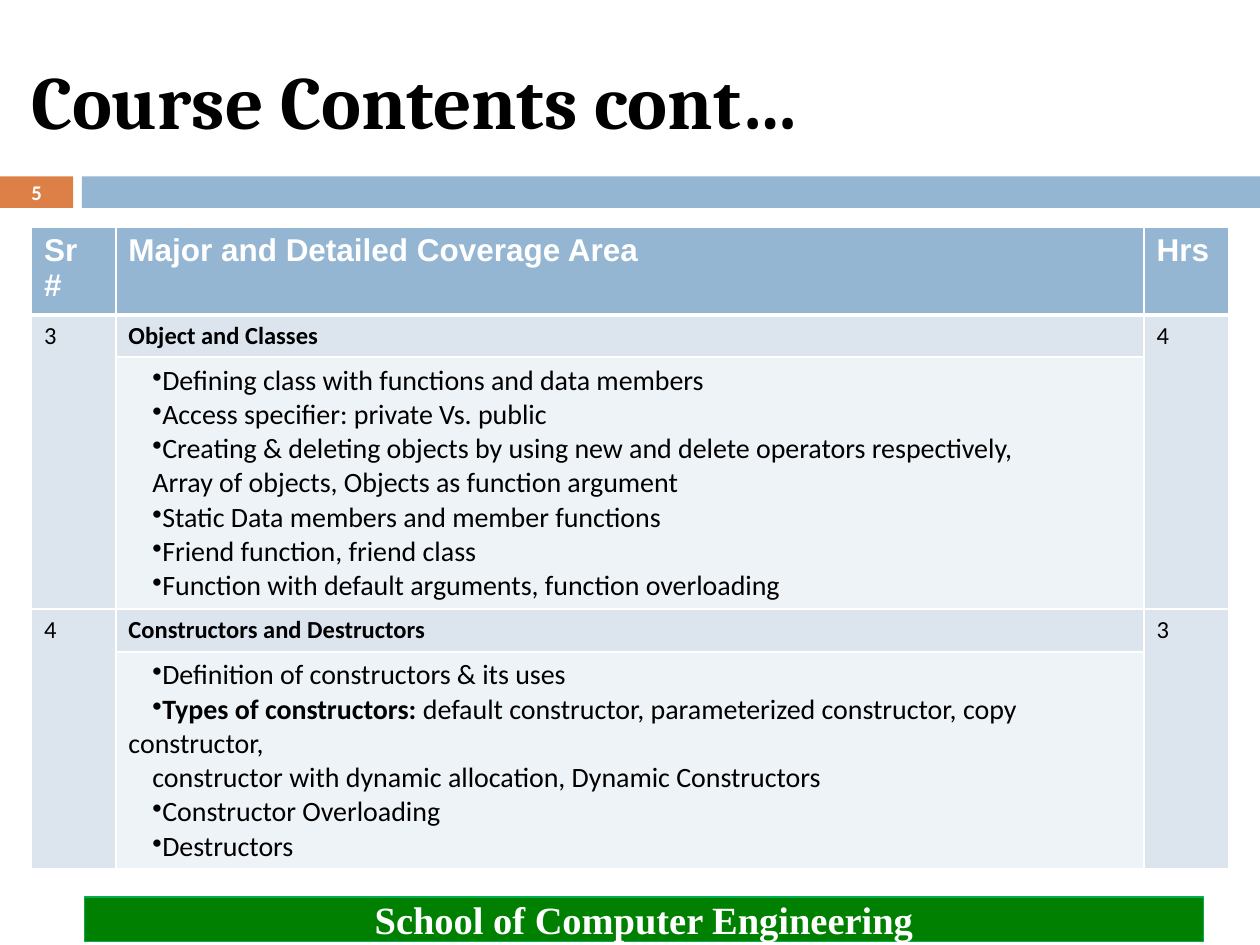
import pptx
import pptx.dml.color
import pptx.enum.shapes
import pptx.enum.text
import pptx.oxml
import pptx.oxml.ns
import pptx.util
from pptx.util import Inches

COLORS = {
    "accent": "DD8047", "band": "94B6D2", "unit": "DCE5EE", "topics": "EEF3F7",
    "footer": "008000", "footer_line": "00B050", "white": "FFFFFF", "black": "000000",
}
ALIGN = pptx.enum.text.PP_ALIGN
INDENT = 0.19

# Each unit: number, heading, hours, topics as (bulleted, [(text, bold), ...])
UNITS = [
    ("3", "Object and Classes", "4", [
        (True, [("Defining class with functions and data members", False)]),
        (True, [("Access specifier: private Vs. public", False)]),
        (True, [("Creating & deleting objects by using new and delete operators respectively,", False)]),
        (False, [("Array of objects, Objects as function argument", False)]),
        (True, [("Static Data members and member functions", False)]),
        (True, [("Friend function, friend class", False)]),
        (True, [("Function with default arguments, function overloading", False)]),
    ]),
    ("4", "Constructors and Destructors", "3", [
        (True, [("Definition of constructors & its uses", False)]),
        (True, [("Types of constructors: ", True),
                ("default constructor, parameterized constructor, copy constructor,", False)]),
        (False, [("constructor with dynamic allocation, Dynamic Constructors", False)]),
        (True, [("Constructor Overloading", False)]),
        (True, [("Destructors", False)]),
    ]),
]


def rgb(name):
    return pptx.dml.color.RGBColor.from_string(COLORS[name])


def add_run(paragraph, text, size, font, color="black", bold=False):
    run = paragraph.add_run()
    run.text = text
    run.font.size = pptx.util.Pt(size)
    run.font.name = font
    run.font.bold = bold
    run.font.color.rgb = rgb(color)


def add_bar(slide, left, top, width, height, fill, line=None):
    bar = slide.shapes.add_shape(
        pptx.enum.shapes.MSO_SHAPE.RECTANGLE,
        Inches(left), Inches(top), Inches(width), Inches(height))
    bar.shadow.inherit = False
    bar.fill.solid()
    bar.fill.fore_color.rgb = rgb(fill)
    if line:
        bar.line.color.rgb = rgb(line)
        bar.line.width = pptx.util.Pt(0.75)
    else:
        bar.line.fill.background()
    return bar


def write_line(shape, text, size, font, color, align):
    frame = shape.text_frame
    frame.word_wrap = True
    frame.vertical_anchor = pptx.enum.text.MSO_ANCHOR.MIDDLE
    frame.paragraphs[0].alignment = align
    add_run(frame.paragraphs[0], text, size, font, color, bold=True)


def add_label(slide, left, top, width, height, *text_style):
    label = slide.shapes.add_textbox(
        Inches(left), Inches(top), Inches(width), Inches(height))
    write_line(label, *text_style)


def style_cell(cell, fill, top=1, bottom=1):
    properties = cell._tc.get_or_add_tcPr()
    for side, points in (("L", 1), ("R", 1), ("T", top), ("B", bottom)):
        properties.append(pptx.oxml.parse_xml(
            f'<a:ln{side} {pptx.oxml.ns.nsdecls("a")} w="{pptx.util.Pt(points)}">'
            f'<a:solidFill><a:srgbClr val="{COLORS["white"]}"/></a:solidFill></a:ln{side}>'))
    cell.fill.solid()
    cell.fill.fore_color.rgb = rgb(fill)


def write_topics(cell, topics):
    frame = cell.text_frame
    for index, (bulleted, runs) in enumerate(topics):
        paragraph = frame.add_paragraph() if index else frame.paragraphs[0]
        properties = paragraph._p.get_or_add_pPr()
        properties.set("marL", "0")
        properties.set("indent", str(Inches(INDENT)))
        bullet = '<a:buChar {} char="•"/>' if bulleted else "<a:buNone {}/>"
        properties.append(pptx.oxml.parse_xml(bullet.format(pptx.oxml.ns.nsdecls("a"))))
        for text, bold in runs:
            add_run(paragraph, text, 16, "Calibri", bold=bold)


def add_contents_table(slide):
    widths = [0.67, 8.16, 0.67]
    heights = [0.65, 0.33, 2.0, 0.34, 1.72]
    table = slide.shapes.add_table(
        len(heights), len(widths), Inches(0.25), Inches(1.8),
        Inches(sum(widths)), Inches(sum(heights))).table
    table.horz_banding = False
    for column, width in zip(table.columns, widths):
        column.width = Inches(width)
    for row, height in zip(table.rows, heights):
        row.height = Inches(height)

    # Header row
    for column, heading in enumerate(["Sr #", "Major and Detailed Coverage Area", "Hrs"]):
        cell = table.cell(0, column)
        style_cell(cell, "band", bottom=3)
        add_run(cell.text_frame.paragraphs[0], heading, 18, "Arial", "white", True)

    # Two rows per unit: heading above topics, with number and hours spanning both
    for index, (number, heading, hours, topics) in enumerate(UNITS):
        row = 1 + 2 * index
        for column, text in enumerate([number, heading, hours]):
            cell = table.cell(row, column)
            style_cell(cell, "unit", top=1 if index else 3)
            add_run(cell.text_frame.paragraphs[0], text, 14, "Calibri", bold=column == 1)
            below = table.cell(row + 1, column)
            style_cell(below, "topics" if column == 1 else "unit")
            if column == 1:
                write_topics(below, topics)
            else:
                cell.merge(below)


def main():
    deck = pptx.Presentation()
    deck.slide_width, deck.slide_height = Inches(10), Inches(7.5)
    slide = deck.slides.add_slide(deck.slide_layouts[6])

    # Title and divider bars
    add_bar(slide, 0, 1.4, 0.58, 0.25, "accent")
    add_bar(slide, 0.65, 1.4, 9.35, 0.25, "band")
    add_label(slide, 0.15, 0.25, 8.92, 1.08,
              "Course Contents cont…", 43, "Cambria", "black", ALIGN.LEFT)

    # Footer
    footer = add_bar(slide, 0.67, 7.12, 8.88, 0.35, "footer", "footer_line")
    write_line(footer, "School of Computer Engineering", 22,
               "Times New Roman", "white", ALIGN.CENTER)

    # Course contents and page number
    add_contents_table(slide)
    add_label(slide, 0, 1.39, 0.58, 0.27, "5", 11.9, "Calibri", "white", ALIGN.CENTER)

    deck.save("out.pptx")


if __name__ == "__main__":
    main()
